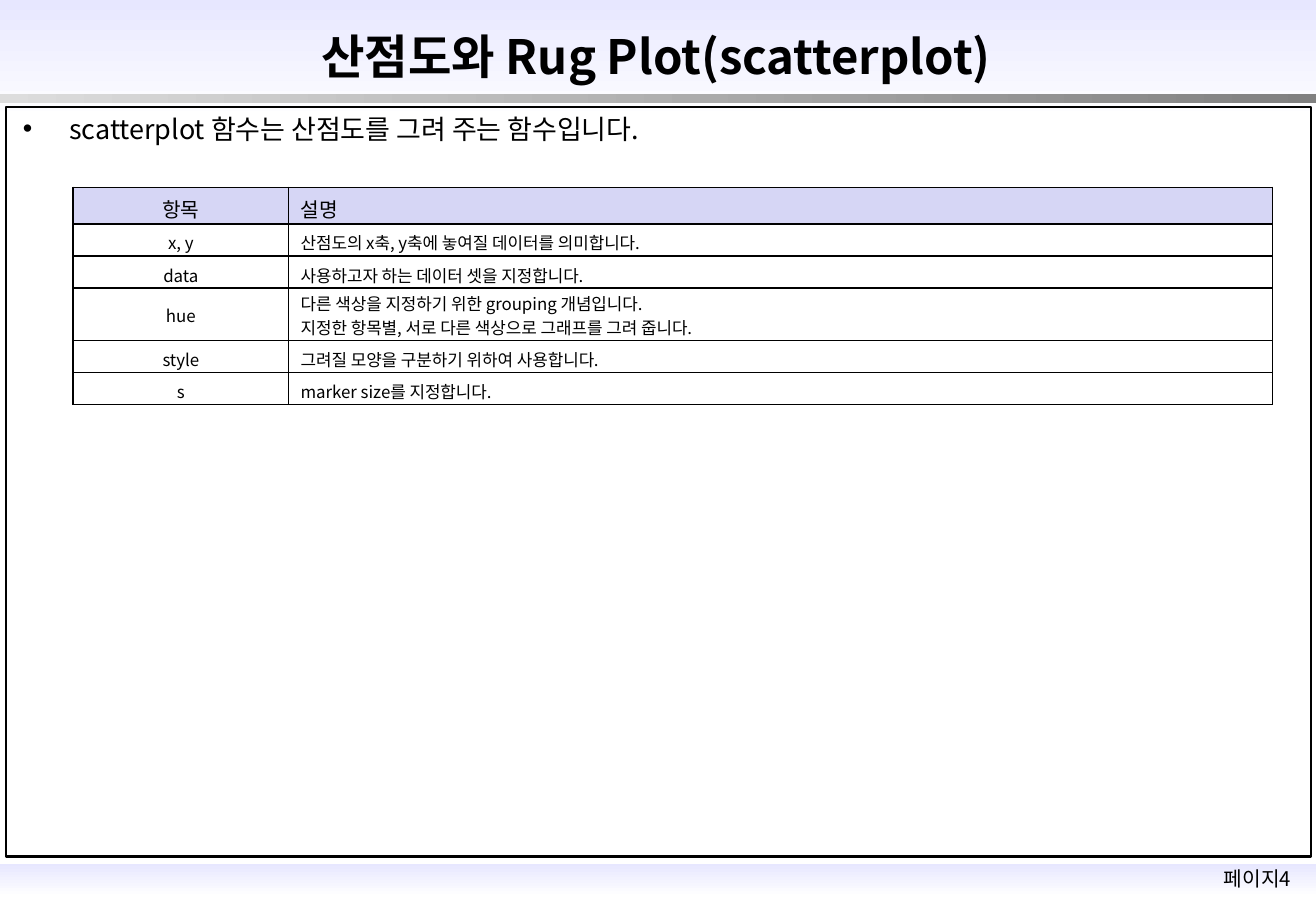
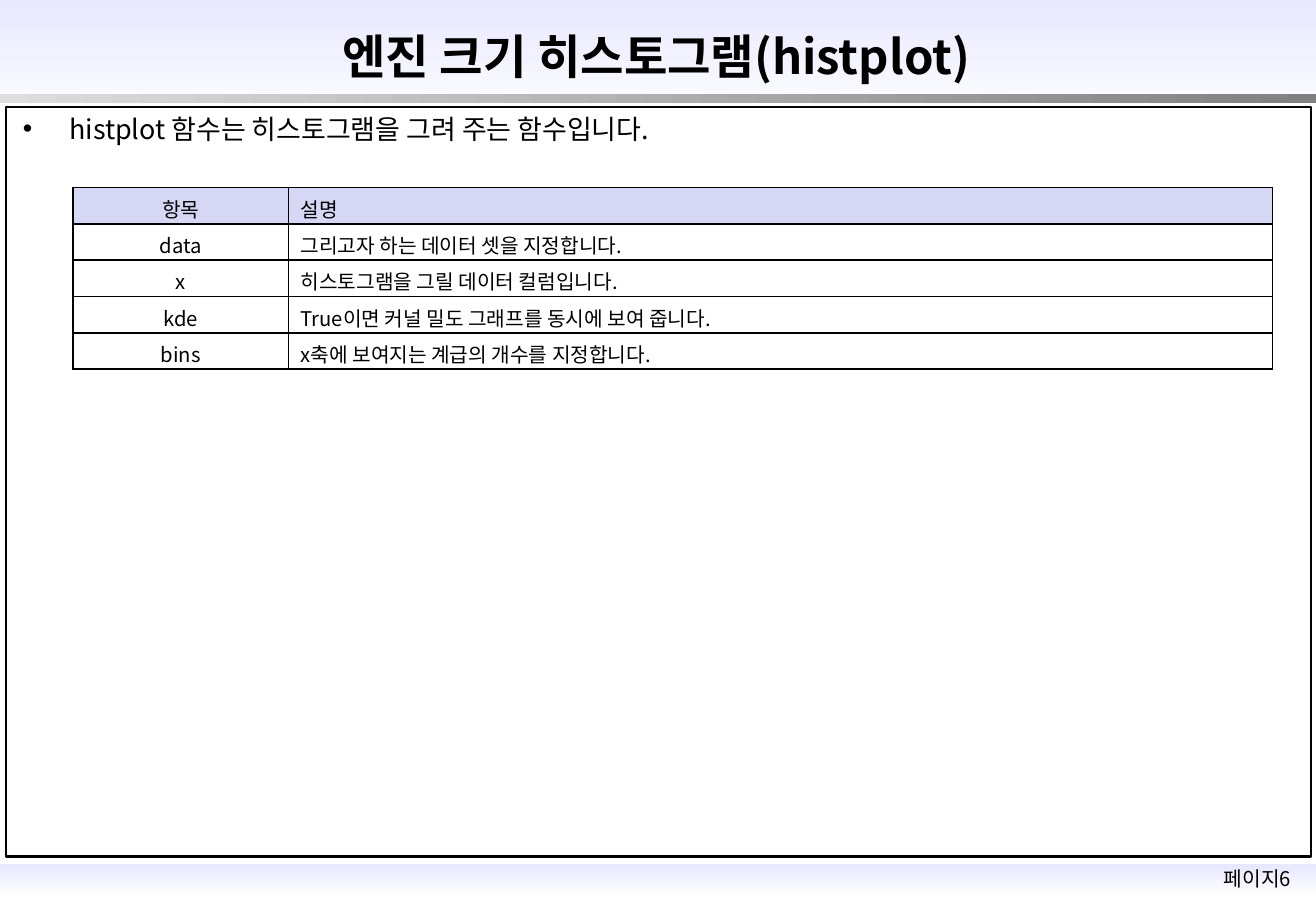
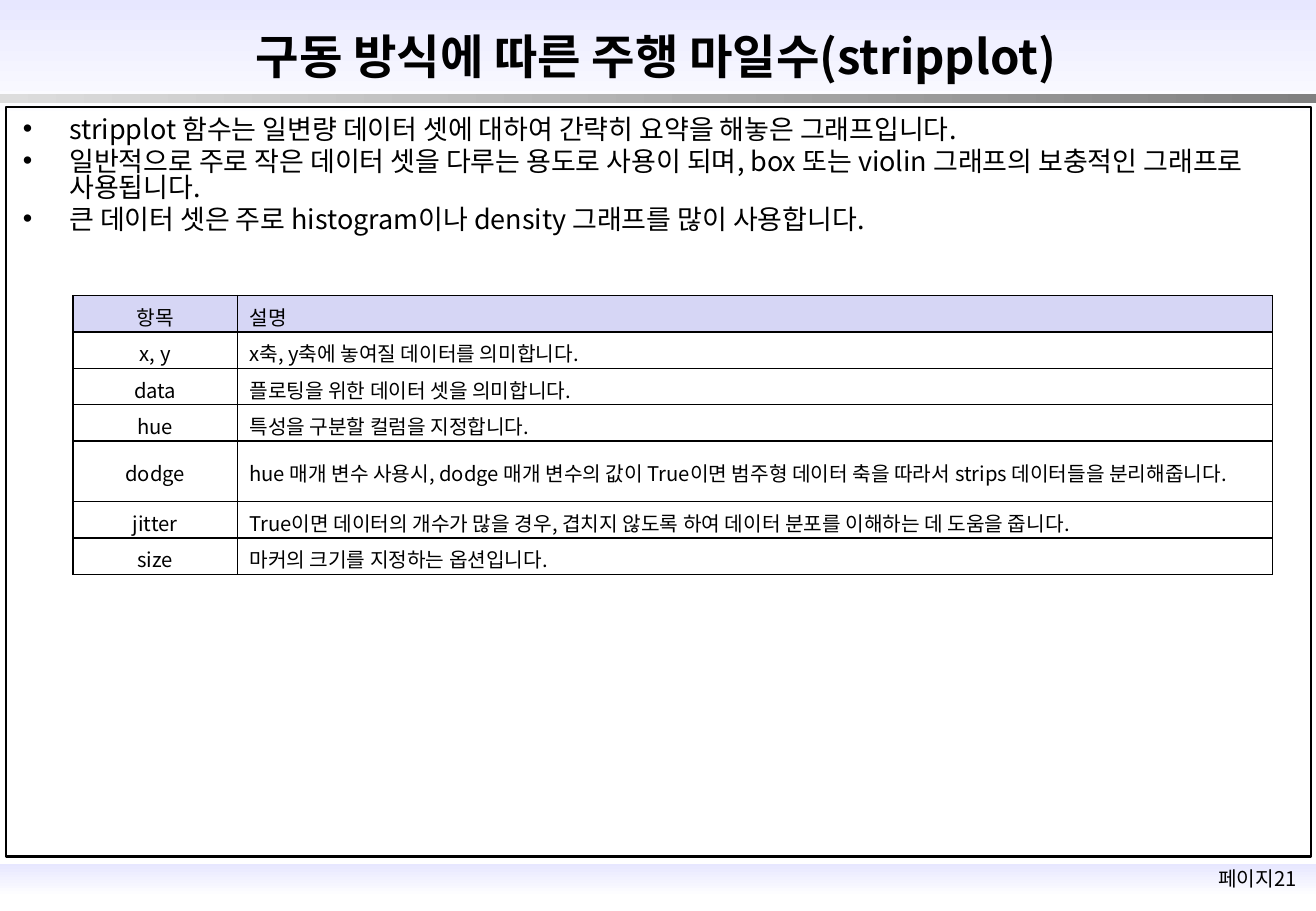
import pptx
import pptx.util
import pptx.dml.color
import pptx.enum.shapes
import pptx.enum.text
import pptx.oxml
import pptx.oxml.ns

Cm = pptx.util.Cm
Pt = pptx.util.Pt
ALIGN = pptx.enum.text.PP_ALIGN
MIDDLE = pptx.enum.text.MSO_ANCHOR.MIDDLE

# Shared look
FONT = "Noto Sans CJK KR"
COLORS = {"ink": "000000", "lilac": "E7E7FF", "paper": "FFFFFF",
          "header": "D6D6F5", "light": "DDDDDD", "dark": "808080"}
WIDTH, HEIGHT = 27.51, 19.05
TABLE_LEFT, TABLE_WIDTH = 1.53, 25.07
HEADER = ("항목", "설명")

# Slide content; a table row may end with its number of text lines
SLIDES = [
    {"page": 4, "title": "산점도와 Rug Plot(scatterplot)",
     "bullets": "scatterplot 함수는 산점도를 그려 주는 함수입니다.",
     "top": 3.92, "label_width": 4.5, "size": 10,
     "rows": [
         ("x, y", "산점도의 x축, y축에 놓여질 데이터를 의미합니다."),
         ("data", "사용하고자 하는 데이터 셋을 지정합니다."),
         ("hue", "다른 색상을 지정하기 위한 grouping 개념입니다.\n"
                 "지정한 항목별, 서로 다른 색상으로 그래프를 그려 줍니다.", 2),
         ("style", "그려질 모양을 구분하기 위하여 사용합니다."),
         ("s", "marker size를 지정합니다."),
     ]},
    {"page": 6, "title": "엔진 크기 히스토그램(histplot)",
     "bullets": "histplot 함수는 히스토그램을 그려 주는 함수입니다.",
     "top": 3.92, "label_width": 4.5, "size": 12,
     "rows": [
         ("data", "그리고자 하는 데이터 셋을 지정합니다."),
         ("x", "히스토그램을 그릴 데이터 컬럼입니다."),
         ("kde", "True이면 커널 밀도 그래프를 동시에 보여 줍니다."),
         ("bins", "x축에 보여지는 계급의 개수를 지정합니다."),
     ]},
    {"page": 21, "title": "구동 방식에 따른 주행 마일수(stripplot)",
     "bullets": "stripplot 함수는 일변량 데이터 셋에 대하여 간략히 요약을 해놓은 그래프입니다.\n"
                "일반적으로 주로 작은 데이터 셋을 다루는 용도로 사용이 되며, "
                "box 또는 violin 그래프의 보충적인 그래프로 사용됩니다.\n"
                "큰 데이터 셋은 주로 histogram이나 density 그래프를 많이 사용합니다.",
     "top": 6.18, "label_width": 3.43, "size": 12,
     "rows": [
         ("x, y", "x축, y축에 놓여질 데이터를 의미합니다."),
         ("data", "플로팅을 위한 데이터 셋을 의미합니다."),
         ("hue", "특성을 구분할 컬럼을 지정합니다."),
         ("dodge", "hue 매개 변수 사용시, dodge 매개 변수의 값이 True이면 "
                   "범주형 데이터 축을 따라서 strips 데이터들을 분리해줍니다.", 2),
         ("jitter", "True이면 데이터의 개수가 많을 경우, 겹치지 않도록 하여 "
                    "데이터 분포를 이해하는 데 도움을 줍니다."),
         ("size", "마커의 크기를 지정하는 옵션입니다."),
     ]},
]


def rgb(name):
    return pptx.dml.color.RGBColor.from_string(COLORS[name])


def element(xml):
    return pptx.oxml.parse_xml(xml.replace(">", " " + pptx.oxml.ns.nsdecls("a") + ">", 1))


def write(tf, text, size=12, bold=False, align=ALIGN.LEFT, bullet=False,
          before=0, spacing=None):
    """Write one paragraph for each line of text."""
    for i, line in enumerate(text.split("\n")):
        p = tf.paragraphs[0] if i == 0 else tf.add_paragraph()
        p.alignment = align
        p.space_before = Pt(before)
        if spacing:
            p.line_spacing = spacing
        if bullet:
            pPr = p._p.get_or_add_pPr()
            pPr.set("marL", str(Cm(0.97)))
            pPr.set("indent", str(-Cm(0.97)))
            pPr.append(element('<a:buFont typeface="Arial"></a:buFont>'))
            pPr.append(element('<a:buChar char="•"></a:buChar>'))
        r = p.add_run()
        r.text = line
        r.font.size, r.font.bold, r.font.name = Pt(size), bold, FONT
        r.font.color.rgb = rgb("ink")
        r._r.get_or_add_rPr().append(element(f'<a:ea typeface="{FONT}"></a:ea>'))


def add_text(s, box, text, anchor=None, **style):
    tf = s.shapes.add_textbox(*map(Cm, box)).text_frame
    tf.word_wrap = True
    if anchor is not None:
        tf.vertical_anchor = anchor
    write(tf, text, **style)


def add_rect(s, box):
    sp = s.shapes.add_shape(pptx.enum.shapes.MSO_SHAPE.RECTANGLE, *map(Cm, box))
    sp.shadow.inherit = False
    return sp


def add_band(s, box, start, end, angle):
    sp = add_rect(s, box)
    sp.line.fill.background()
    sp.fill.gradient()
    sp.fill.gradient_angle = angle
    for stop, name in zip(sp.fill.gradient_stops, (start, end)):
        stop.color.rgb = rgb(name)


def add_frame(s, box):
    sp = add_rect(s, box)
    sp.fill.background()
    sp.line.color.rgb = rgb("ink")
    sp.line.width = Pt(1.5)


def style_cell(cell, fill=None):
    tcPr = cell._tc.get_or_add_tcPr()
    for side in ("lnL", "lnR", "lnT", "lnB"):
        tcPr.append(element(
            f'<a:{side} w="{Pt(1)}"><a:solidFill><a:srgbClr val="{COLORS["ink"]}"/>'
            f'</a:solidFill></a:{side}>'))
    if fill:
        cell.fill.solid()
        cell.fill.fore_color.rgb = rgb(fill)
    else:
        cell.fill.background()
    cell.vertical_anchor = MIDDLE


def row_height(size, lines):
    return round(0.25 + lines * size * 1.2 * 2.54 / 72, 2)


def add_term_table(s, top, label_width, size, rows):
    rows = [HEADER] + rows
    sizes = [12] + [size] * (len(rows) - 1)
    counts = [row[2] if len(row) > 2 else 1 for row in rows]
    heights = [row_height(*pair) for pair in zip(sizes, counts)]
    table = s.shapes.add_table(len(rows), 2, Cm(TABLE_LEFT), Cm(top),
                               Cm(TABLE_WIDTH), Cm(sum(heights))).table
    table.first_row = table.horz_banding = False
    table.columns[0].width = Cm(label_width)
    table.columns[1].width = Cm(TABLE_WIDTH - label_width)
    for i, row in enumerate(rows):
        table.rows[i].height = Cm(heights[i])
        for j, align in enumerate((ALIGN.CENTER, ALIGN.JUSTIFY)):
            cell = table.cell(i, j)
            style_cell(cell, fill="header" if i == 0 else None)
            cell.margin_top = Cm(0.12 if counts[i] == 1 else 0.04)
            cell.margin_bottom = 0
            write(cell.text_frame, row[j], size=sizes[i], align=align)


def add_base(s, title, page):
    """Bands, frame, title and page number of every slide."""
    add_band(s, (0, 18.06, WIDTH, 0.69), "lilac", "paper", 270)
    add_band(s, (0, 0, WIDTH, 2.54), "lilac", "paper", 270)
    add_text(s, (24.94, 18, 2.69, 0.76), f"페이지{page}", align=ALIGN.CENTER)
    add_band(s, (0, 1.96, WIDTH, 0.2), "light", "dark", 0)
    add_frame(s, (0.13, 2.24, 27.28, 15.67))
    add_text(s, (3.53, 0.43, 20.37, 1.47), title, anchor=MIDDLE,
             size=28, bold=True, align=ALIGN.CENTER)


def main():
    prs = pptx.Presentation()
    prs.slide_width, prs.slide_height = Cm(WIDTH), Cm(HEIGHT)
    for d in SLIDES:
        s = prs.slides.add_slide(prs.slide_layouts[6])
        add_base(s, d["title"], d["page"])
        body_height = 0.94 if "\n" not in d["bullets"] else 3.28
        add_text(s, (0.23, 2.34, 27.28, body_height), d["bullets"],
                 size=16, bullet=True, before=3.2, spacing=0.82)
        add_term_table(s, d["top"], d["label_width"], d["size"], d["rows"])
    prs.save("out.pptx")


if __name__ == "__main__":
    main()
